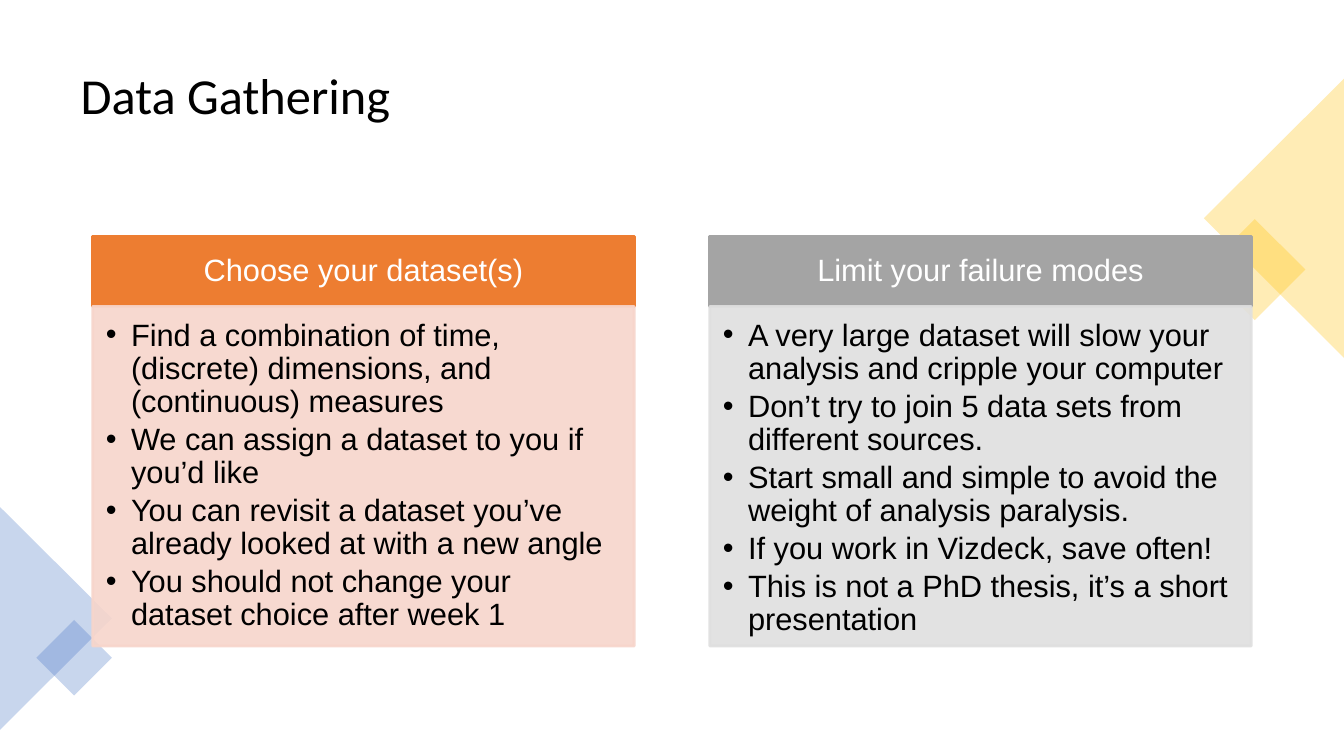
from lxml.etree import SubElement
from pptx import Presentation
from pptx.dml.color import RGBColor
from pptx.enum.shapes import MSO_SHAPE
from pptx.enum.text import MSO_ANCHOR, PP_ALIGN
from pptx.oxml.ns import qn
from pptx.util import Inches, Pt

COLORS = {
    "black": "000000", "white": "FFFFFF", "gold": "FFC000", "blue": "4472C4",
    "orange": "ED7D31", "peach": "F7D5CB", "gray": "A4A4A4", "pale": "DFDFDF",
}

CARDS = [
    ("Choose your dataset(s)", "orange", "peach", [
        "Find a combination of time, (discrete) dimensions, and (continuous) measures",
        "We can assign a dataset to you if you’d like",
        "You can revisit a dataset you’ve already looked at with a new angle",
        "You should not change your dataset choice after week 1",
    ]),
    ("Limit your failure modes", "gray", "pale", [
        "A very large dataset will slow your analysis and cripple your computer",
        "Don’t try to join 5 data sets from different sources.",
        "Start small and simple to avoid the weight of analysis paralysis.",
        "If you work in Vizdeck, save often!",
        "This is not a PhD thesis, it’s a short presentation",
    ]),
]

DECOR = [
    (MSO_SHAPE.RECTANGLE, (12.09, 2.32, 0.71, 0.71), 45, "gold"),
    (MSO_SHAPE.ISOSCELES_TRIANGLE, (11.25, 1.47, 2.77, 1.39), 270, "gold"),
    (MSO_SHAPE.ISOSCELES_TRIANGLE, (-0.55, 5.58, 2.21, 1.11), 90, "blue"),
    (MSO_SHAPE.RECTANGLE, (0.47, 6.26, 0.53, 0.53), 45, "blue"),
]


class Canvas:
    def __init__(self, slide):
        self.slide = slide
        self.font = "Arial"
        self.size = 22

    def paint(self, fill, color, alpha=100):
        fill.solid()
        fill.fore_color.rgb = RGBColor.from_string(COLORS[color])
        if alpha < 100:
            tint = fill._xPr.find(qn("a:solidFill"))[0]
            SubElement(tint, qn("a:alpha"), val=str(alpha * 1000))

    def frame(self, shape, insets, anchor):
        frame = shape.text_frame
        frame.word_wrap = True
        frame.vertical_anchor = anchor
        left, top, right, bottom = map(Inches, insets)
        frame.margin_left, frame.margin_top = left, top
        frame.margin_right, frame.margin_bottom = right, bottom
        return frame

    def add_run(self, para, text, color, align=PP_ALIGN.LEFT, font=None, size=None):
        para.alignment = align
        para.line_spacing = 0.9
        run = para.add_run()
        run.text = text
        run.font.name = font or self.font
        run.font.size = Pt(size or self.size)
        run.font.color.rgb = RGBColor.from_string(COLORS[color])

    def bullet(self, para):
        para.level = 1
        props = para._p.get_or_add_pPr()
        props.set("marL", str(Inches(0.25)))
        props.set("indent", str(-Inches(0.25)))
        tint = SubElement(props, qn("a:buClr"))
        SubElement(tint, qn("a:srgbClr"), val=COLORS["black"])
        SubElement(props, qn("a:buFont"), typeface=self.font)
        SubElement(props, qn("a:buChar"), char="•")

    def title(self, text, box):
        shape = self.slide.shapes.title
        shape.left, shape.top, shape.width, shape.height = map(Inches, box)
        frame = self.frame(shape, (0.1, 0.05, 0.1, 0.05), MSO_ANCHOR.MIDDLE)
        self.add_run(frame.paragraphs[0], text, "black", font="Calibri", size=36)

    def shape(self, kind, box, color, alpha=100, turn=0, edge=False):
        shape = self.slide.shapes.add_shape(kind, *map(Inches, box))
        shape.shadow.inherit = False
        shape.rotation = turn
        self.paint(shape.fill, color, alpha)
        if edge:
            shape.line.width = Pt(2)
            self.paint(shape.line.fill, color, alpha)
        else:
            shape.line.fill.background()
        return shape

    def header(self, text, box, color):
        shape = self.shape(MSO_SHAPE.RECTANGLE, box, color, edge=True)
        frame = self.frame(shape, (0.17, 0.1, 0.17, 0.1), MSO_ANCHOR.MIDDLE)
        self.add_run(frame.paragraphs[0], text, "white", PP_ALIGN.CENTER)

    def body(self, lines, box, color):
        shape = self.shape(MSO_SHAPE.RECTANGLE, box, color, 89, edge=True)
        frame = self.frame(shape, (0.13, 0.13, 0.17, 0.19), MSO_ANCHOR.TOP)
        for i, line in enumerate(lines):
            para = frame.add_paragraph() if i else frame.paragraphs[0]
            self.bullet(para)
            self.add_run(para, line, "black")
            if i:
                para.space_before = Pt(3.3)


def main():
    deck = Presentation()
    deck.slide_width, deck.slide_height = Inches(13.33), Inches(7.5)
    canvas = Canvas(deck.slides.add_slide(deck.slide_layouts[5]))
    canvas.title("Data Gathering", (0.7, 0.35, 11.93, 1.24))
    for kind, box, turn, color in DECOR:
        canvas.shape(kind, box, color, 29, turn)
    for i, (head, dark, light, lines) in enumerate(CARDS):
        left = 0.92 + i * 6.12
        canvas.header(head, (left, 2.35, 5.37, 0.69), dark)
        canvas.body(lines, (left, 3.04, 5.37, 3.37), light)
    deck.save("out.pptx")


if __name__ == "__main__":
    main()
